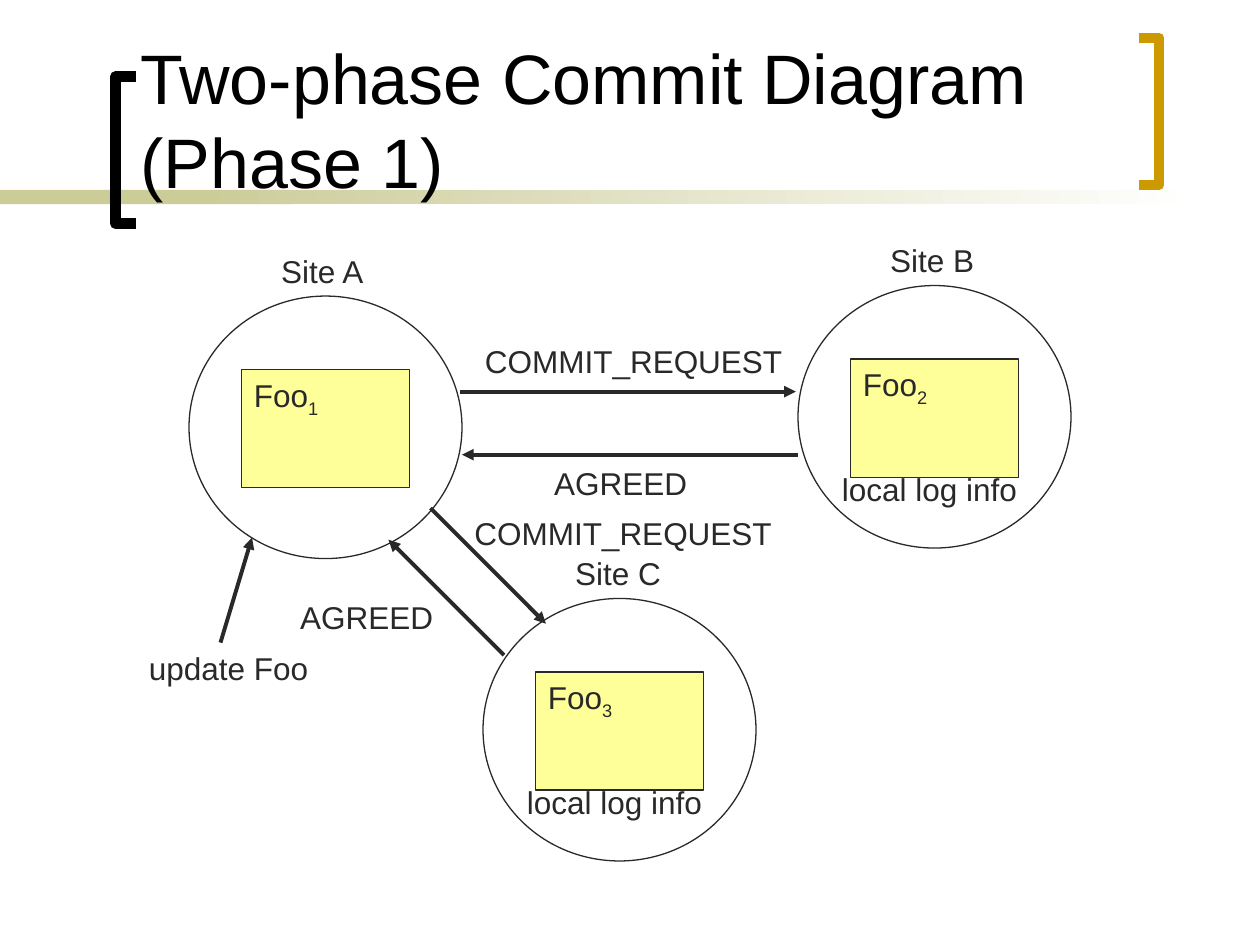
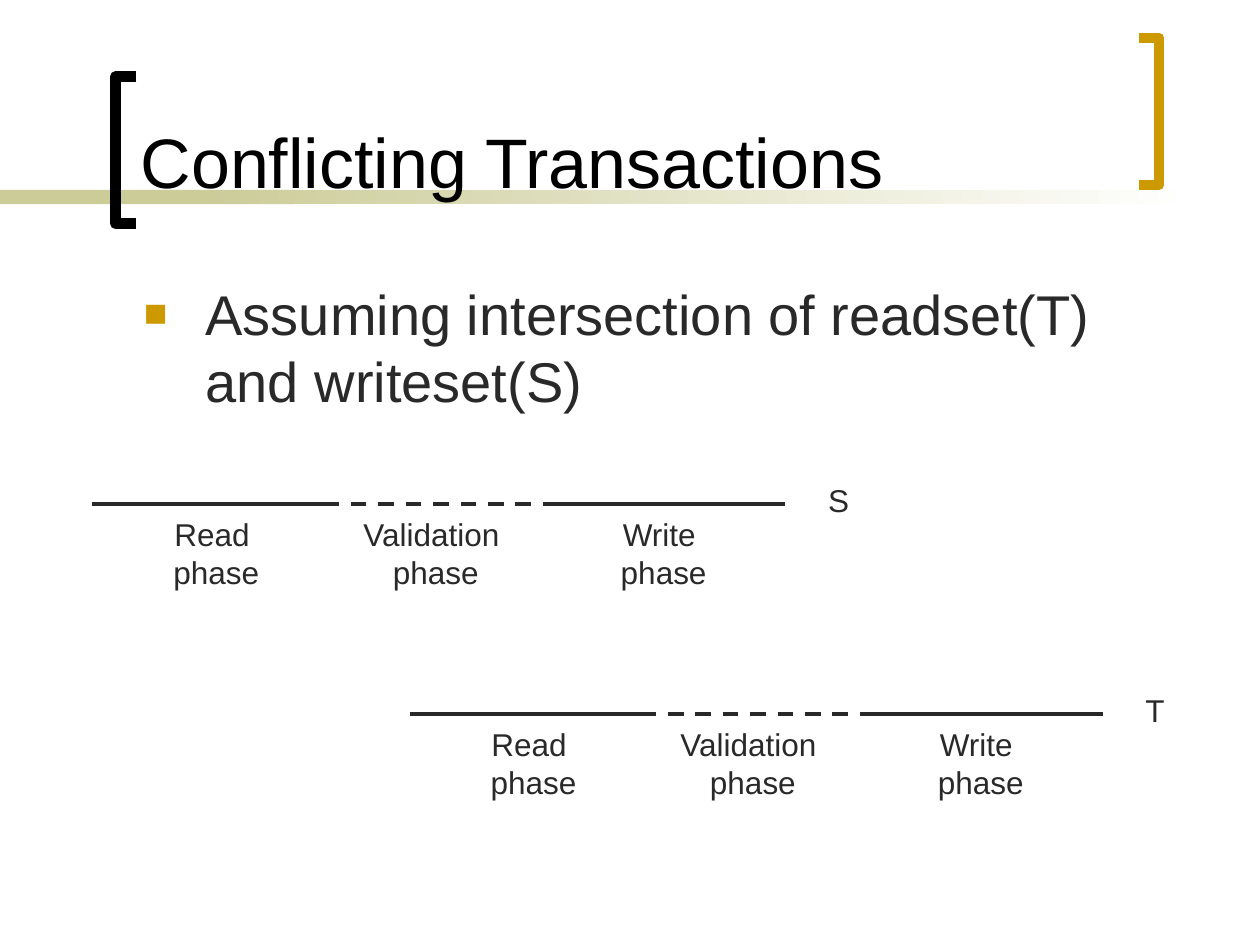
from pptx import Presentation
from pptx.dml.color import RGBColor
from pptx.enum.dml import MSO_LINE
from pptx.enum.shapes import MSO_CONNECTOR, MSO_SHAPE
from pptx.enum.text import MSO_ANCHOR, MSO_AUTO_SIZE, PP_ALIGN
from pptx.oxml.ns import qn
from pptx.util import Inches, Pt
from lxml.etree import SubElement

INK = {name: RGBColor.from_string(code) for name, code in {
    "black": "000000", "dark": "292929", "gold": "CC9900",
    "sand": "CCCC99", "white": "FFFFFF", "lemon": "FFFF99"}.items()}
LEFT, MID = PP_ALIGN.LEFT, PP_ALIGN.CENTER

deck = Presentation()
deck.slide_width, deck.slide_height = Inches(10), Inches(7.5)
UNIT = deck.slide_width / 120  # grid of 120 columns by 90 rows


def grid(*cells):
    return [round(cell * UNIT) for cell in cells]


def say(par, text, size=18, ink="dark", low=False):
    run = par.add_run()
    run.text = text
    run.font.name = "Arial"
    run.font.size = Pt(size)
    run.font.color.rgb = INK[ink]
    if low:
        run.font._element.set("baseline", "-25000")


# Slides and titles
first = deck.slides.add_slide(deck.slide_layouts[5])
second = deck.slides.add_slide(deck.slide_layouts[1])
for slide, text in ((first, "Two-phase Commit Diagram (Phase 1)"),
                    (second, "Conflicting Transactions")):
    title = slide.shapes.title
    title.left, title.top, title.width, title.height = grid(12.2, 1.3, 94, 18.6)
    frame = title.text_frame
    frame.auto_size = MSO_AUTO_SIZE.NONE
    frame.vertical_anchor = MSO_ANCHOR.BOTTOM
    frame.paragraphs[0].alignment = LEFT
    say(frame.paragraphs[0], text, 40, "black")

# Shared band and brackets, kept on the master
decor = []
for left, wide in ((0, 28), (19, 95)):
    band = first.shapes.add_shape(MSO_SHAPE.RECTANGLE, *grid(left, 18.1, wide, 1.35))
    band.line.fill.background()
    decor.append(band)
decor[0].fill.solid()
decor[0].fill.fore_color.rgb = INK["sand"]
fade = decor[1].fill
fade.gradient()
fade.gradient_angle = 0
for stop, ink, place in zip(fade.gradient_stops, ("sand", "white"), (0, 1)):
    stop.color.rgb = INK[ink]
    stop.position = place
for tip, back, top, ink in ((13, 11, 7.3, "black"), (108.5, 110.4, 3.6, "gold")):
    pen = first.shapes.build_freeform(*grid(tip, top))
    pen.add_line_segments([grid(back, top), grid(back, top + 14),
                           grid(tip, top + 14)], close=False)
    hook = pen.convert_to_shape()
    hook.fill.background()
    hook.line.color.rgb = INK[ink]
    hook.line.width = Pt(6)
    decor.append(hook)
for rank, part in enumerate(decor):
    part.shadow.inherit = False
    part._element.nvSpPr.cNvPr.set("id", str(50 + rank))
    deck.slide_master.shapes._spTree.insert(2 + rank, part._element)

# Sites: circle, store and captions
notes = []  # slide, left, top, width, alignment, lines
for name, mark, left, top in (("A", "1", 18, 28.2), ("B", "2", 76, 27.2),
                              ("C", "3", 46, 57)):
    ring = first.shapes.add_shape(MSO_SHAPE.OVAL, *grid(left, top, 26, 25))
    ring.fill.background()
    store = first.shapes.add_shape(MSO_SHAPE.RECTANGLE,
                                   *grid(left + 5, top + 7, 16, 11.25))
    store.fill.solid()
    store.fill.fore_color.rgb = INK["lemon"]
    for shape in (ring, store):
        shape.shadow.inherit = False
        shape.line.color.rgb = INK["dark"]
        shape.line.width = Pt(0.75)
    store.text_frame.vertical_anchor = MSO_ANCHOR.TOP
    par = store.text_frame.paragraphs[0]
    par.alignment = LEFT
    say(par, "Foo")
    say(par, mark, low=True)
    notes.append((first, left + 7.6, top - 4.8, 14, LEFT, ["Site " + name]))
    if name != "A":
        notes.append((first, left + 3, top + 17, 22, LEFT, ["local log info"]))

# Messages between the sites
notes += [(first, left, top, 34, LEFT, [text]) for left, top, text in (
    (13, 61.2, "update Foo"),
    (45, 32, "COMMIT_REQUEST"), (44, 48.4, "COMMIT_REQUEST"),
    (51.6, 43.6, "AGREED"), (27.4, 56.4, "AGREED"))]
lines = [(first, ends, "arrow") for ends in (
    (21, 61.2, 24, 51.2),
    (43.8, 37.3, 75.8, 37.3), (76, 43.3, 44, 43.3),
    (41, 48.4, 52, 59.4), (48, 62.4, 37, 51.4))]

# Timelines of the two transactions
STEP = 22
for name, left, top in (("S", 8.8, 48), ("T", 39, 68)):
    for rank, (phase, mid, style) in enumerate((
            ("Read ", 11.8, "solid"), ("Validation ", 32.7, "dash"),
            ("Write ", 54.4, "solid"))):
        start = left + rank * STEP
        lines.append((second, (start, top, start + STEP, top), style))
        notes.append((second, left + mid - 10, top + 0.5, 20, MID, [phase, "phase"]))
    notes.append((second, left + 68.9, top - 2.8, 5, LEFT, [name]))

# Draw all lines
for slide, ends, style in lines:
    link = slide.shapes.add_connector(MSO_CONNECTOR.STRAIGHT, *grid(*ends))
    link.line.color.rgb = INK["dark"]
    link.line.width = Pt(2.25)
    if style == "dash":
        link.line.dash_style = MSO_LINE.DASH
    if style == "arrow":
        SubElement(link.line._get_or_add_ln(), qn("a:tailEnd"), type="triangle")
    SubElement(link._element.spPr, qn("a:effectLst"))

# Write all captions
for slide, left, top, wide, align, rows in notes:
    box = slide.shapes.add_textbox(*grid(left, top, wide, 1.2 + 3.6 * len(rows)))
    frame = box.text_frame
    frame.word_wrap = True
    for rank, text in enumerate(rows):
        par = frame.add_paragraph() if rank else frame.paragraphs[0]
        par.alignment = align
        say(par, text)

# Bullet list
body = second.placeholders[1]
body.left, body.top, body.width, body.height = grid(12.5, 26, 100.5, 54)
body.text_frame.auto_size = MSO_AUTO_SIZE.NONE
par = body.text_frame.paragraphs[0]
par.space_before = Pt(0)
props = par._p.get_or_add_pPr()
props.set("marL", str(Inches(0.49)))
props.set("indent", str(-Inches(0.49)))
tint = SubElement(props, qn("a:buClr"))
SubElement(tint, qn("a:srgbClr"), val=str(INK["gold"]))
SubElement(props, qn("a:buSzPct"), val="70000")
SubElement(props, qn("a:buFont"), typeface="Arial")
SubElement(props, qn("a:buChar"), char="■")
say(par, "Assuming intersection of readset(T) and writeset(S)", 32)

deck.save("out.pptx")
